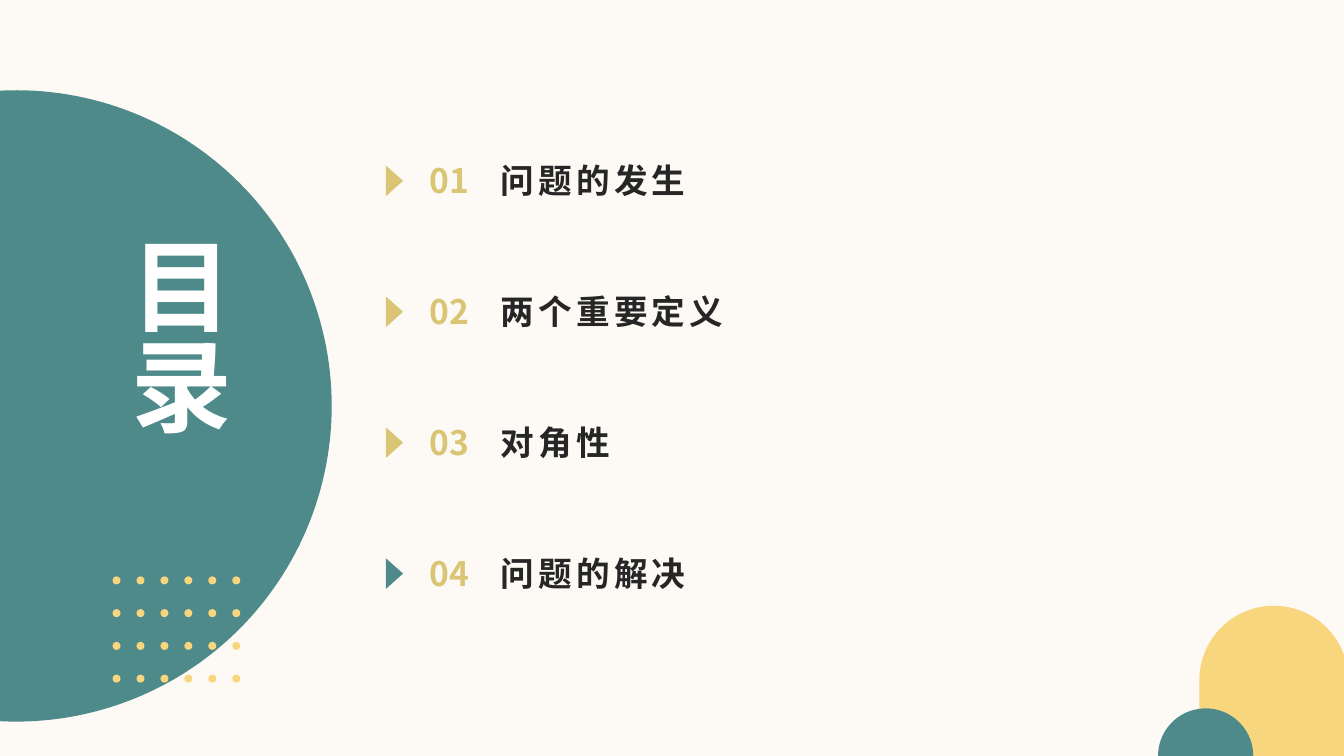
from math import acos, cos, degrees, pi, radians, sin

from lxml import etree
from pptx import Presentation
from pptx.dml.color import RGBColor
from pptx.enum.shapes import MSO_SHAPE as SHAPE
from pptx.enum.text import MSO_ANCHOR as ANCHOR, MSO_AUTO_SIZE as AUTO, PP_ALIGN as ALIGN
from pptx.oxml.ns import qn
from pptx.util import Pt

CREAM = RGBColor(0xFD, 0xFA, 0xF5)
TEAL = RGBColor(0x4F, 0x8A, 0x8B)
YELLOW = RGBColor(0xF8, 0xD6, 0x7E)
GOLD = RGBColor(0xD9, 0xC5, 0x73)
DARK = RGBColor(0x26, 0x26, 0x26)
WHITE = RGBColor(0xFF, 0xFF, 0xFF)
CJK = "Noto Sans CJK SC"
W, H = 960, 540


def write(sp, text, size=24, color=DARK, font=CJK, align=ALIGN.LEFT,
          anchor=ANCHOR.TOP, wrap=True, line=0.9, spacing=0):
    """Fill a shape with one bold paragraph; spacing is in points."""
    tf = sp.text_frame
    tf.margin_left = tf.margin_top = tf.margin_right = tf.margin_bottom = 0
    tf.auto_size, tf.word_wrap, tf.vertical_anchor = AUTO.NONE, wrap, anchor
    p = tf.paragraphs[0]
    p.alignment, p.line_spacing = align, line
    r = p.add_run()
    r.text = text
    r.font.size, r.font.bold, r.font.name = Pt(size), True, font
    r.font.color.rgb = color
    rPr = r.font._element
    etree.SubElement(rPr, qn("a:ea")).set("typeface", CJK)
    if spacing:
        rPr.set("spc", str(spacing * 100))


def paint(sp, color):
    sp.fill.solid()
    sp.fill.fore_color.rgb = color
    sp.line.fill.background()
    sp.shadow.inherit = False


prs = Presentation()
prs.slide_width, prs.slide_height = Pt(W), Pt(H)
s = prs.slides.add_slide(prs.slide_layouts[5])
s.background.fill.solid()
s.background.fill.fore_color.rgb = CREAM

# Circles cut by the slide edges: centre, radius, start and end angle, corners, colour
cut_circles = [
    (11.5, 290, 225.5, -90 - 2.92, 90 + 2.92, [], TEAL),
    (910, 486, 53.3, -180, -degrees(acos((W - 910) / 53.3)), [(W, H), (856.7, H)], YELLOW),
    (861.2, H, 34, -180, 0, [], TEAL),
]
for cx, cy, radius, start, end, corners, color in cut_circles:
    angles = [radians(start + (end - start) * i / 120) for i in range(121)]
    points = [(cx + radius * cos(a), cy + radius * sin(a)) for a in angles] + corners
    points = [(Pt(x), Pt(y)) for x, y in points]
    outline = s.shapes.build_freeform(*points[0])
    outline.add_line_segments(points[1:], close=True)
    paint(outline.convert_to_shape(), color)

for row in range(4):
    for col in range(6):
        dot = s.shapes.add_shape(SHAPE.OVAL, Pt(80.4 + 17.1 * col), Pt(411.7 + 23.4 * row),
                                 Pt(5.7), Pt(5.7))
        paint(dot, YELLOW)

title = s.shapes.title
title.left, title.top, title.width, title.height = Pt(66.2), Pt(140.4), Pt(100), Pt(211.7)
write(title, "目录", size=72, color=WHITE, font="Arial", align=ALIGN.RIGHT,
      anchor=ANCHOR.MIDDLE, line=0.82)
s.shapes._spTree.append(title._element)  # bring the title in front of the circle

items = [("问题的发生", GOLD), ("两个重要定义", GOLD), ("对角性", GOLD), ("问题的解决", TEAL)]
for i, (text, marker_color) in enumerate(items):
    top = 117.4 + 93.5 * i
    marker = s.shapes.add_shape(SHAPE.ISOSCELES_TRIANGLE, Pt(270.9), Pt(top + 5.7),
                                Pt(21.8), Pt(12.2))
    marker.rotation = 90
    paint(marker, marker_color)
    number = s.shapes.add_textbox(Pt(295.2), Pt(top), Pt(51.8), Pt(77))
    write(number, f"{i + 1:02}", color=GOLD, align=ALIGN.CENTER, wrap=False)
    label = s.shapes.add_textbox(Pt(357.8), Pt(top), Pt(331.2), Pt(77))
    write(label, text, spacing=3)

prs.save("out.pptx")
